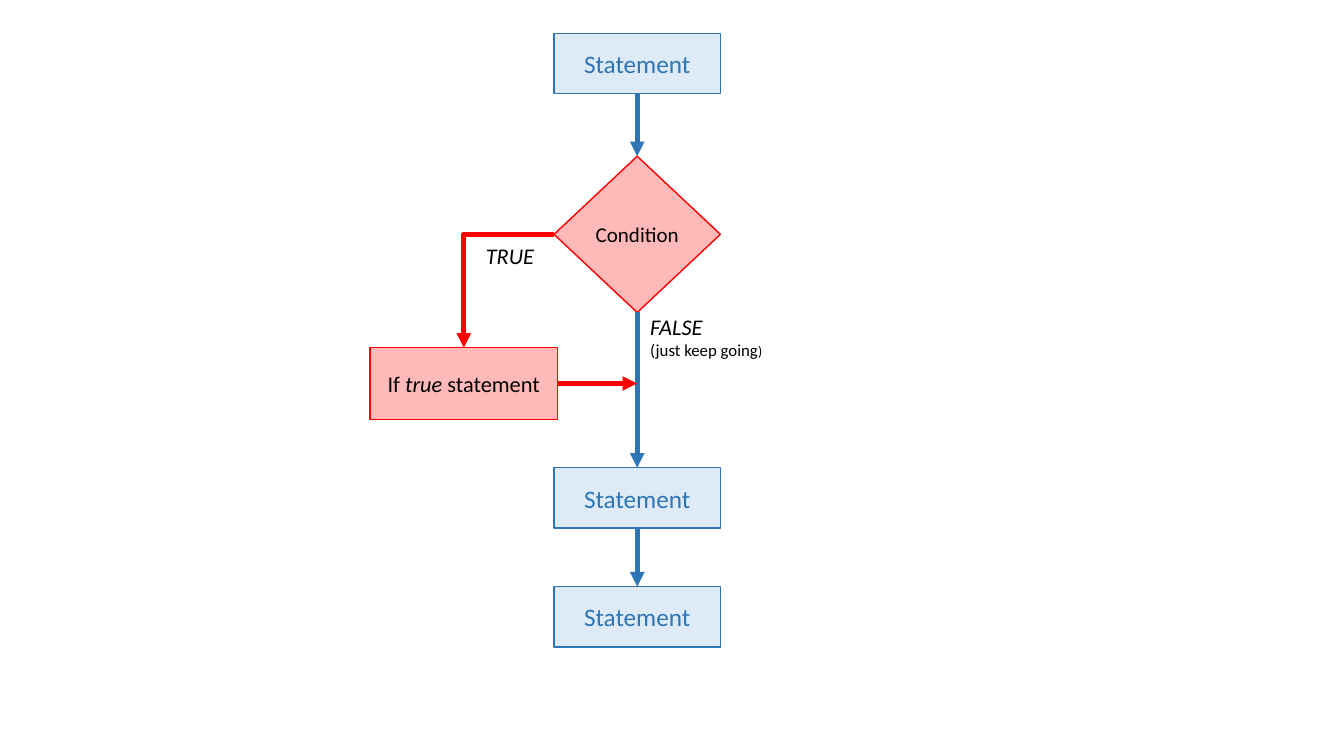
"""Draw a flowchart of an if statement."""
from lxml.etree import SubElement
from pptx import Presentation
from pptx.dml.color import RGBColor
from pptx.enum.shapes import MSO_CONNECTOR as Link, MSO_SHAPE as Form
from pptx.enum.text import MSO_ANCHOR as Anchor, PP_ALIGN as Align
from pptx.oxml.ns import qn
from pptx.util import Inches, Pt

BLUE, PALE = RGBColor(0x2E, 0x75, 0xB6), RGBColor(0xDE, 0xEB, 0xF7)
RED, PINK = RGBColor(0xFF, 0, 0), RGBColor(0xFF, 0xB9, 0xB9)
BLACK = RGBColor(0, 0, 0)
MID, SIDE = 6.32, 4.6
TOP, LEFT, BOTTOM, RIGHT = range(4)

STEP = dict(form=Form.RECTANGLE, size=(1.65, 0.6), fill=PALE, line=BLUE, ink=BLUE)
TEST = dict(form=Form.DIAMOND, size=(1.65, 1.55), fill=PINK, line=RED, ink=BLACK, pad=0)
THEN = dict(form=Form.RECTANGLE, size=(1.86, 0.71), fill=PINK, line=RED, ink=BLACK)

NODES = {
    "first": (STEP, MID, 0.33, [[("Statement", 18, False)]]),
    "test": (TEST, MID, 1.55, [[("Condition", 15, False)]]),
    "then": (THEN, SIDE, 3.45, [[("If ", 16, False), ("true", 16, True),
                                 (" statement", 16, False)]]),
    "next": (STEP, MID, 4.64, [[("Statement", 18, False)]]),
    "last": (STEP, MID, 5.82, [[("Statement", 18, False)]]),
}
LABELS = [
    ((6.35, 2.98, 1.86, 0.71), [[("FALSE", 16, True)],
                                [("(just keep going", 12, False), (")", 10, False)]]),
    ((4.72, 2.18, 0.76, 0.71), [[("TRUE", 16, True)]]),
]
LINKS = [
    ("first", BOTTOM, "test", TOP, BLUE),
    ("test", LEFT, "then", TOP, RED),
    ("test", BOTTOM, "next", TOP, BLUE),
    ("then", RIGHT, None, None, RED),
    ("next", BOTTOM, "last", TOP, BLUE),
]


def write(shape, lines, ink, align, pad=None):
    frame = shape.text_frame
    frame.word_wrap, frame.vertical_anchor = True, Anchor.MIDDLE
    if pad is not None:
        for edge in ("left", "right", "top", "bottom"):
            setattr(frame, "margin_" + edge, Inches(pad))
    for i, runs in enumerate(lines):
        para = frame.add_paragraph() if i else frame.paragraphs[0]
        para.alignment = align
        for text, size, slant in runs:
            run = para.add_run()
            run.text = text
            run.font.color.rgb = ink
            for key, val in dict(name="Calibri", size=Pt(size), italic=slant).items():
                setattr(run.font, key, val)


def node(look, mid, top, lines):
    wide, high = look["size"]
    box = (mid - wide / 2, top, wide, high)
    shape = slide.shapes.add_shape(look["form"], *map(Inches, box))
    shape.shadow.inherit = False
    shape.fill.solid()
    shape.fill.fore_color.rgb = look["fill"]
    shape.line.color.rgb, shape.line.width = look["line"], Pt(1)
    write(shape, lines, look["ink"], Align.CENTER, look.get("pad"))
    return shape


def link(start, out, end, into, hue):
    bent = out == LEFT
    kind = Link.ELBOW if bent else Link.STRAIGHT
    level = shapes[start].top + shapes[start].height // 2
    line = slide.shapes.add_connector(kind, 0, 0, Inches(MID), level)
    line.begin_connect(shapes[start], out)
    if end:
        line.end_connect(shapes[end], into)
    props = line._element.spPr
    if bent:
        props.find(qn("a:prstGeom")).set("prst", "bentConnector2")
    line.line.color.rgb, line.line.width = hue, Pt(3.5)
    SubElement(props.find(qn("a:ln")), qn("a:tailEnd"), type="triangle")
    SubElement(props, qn("a:effectLst"))


deck = Presentation()
deck.slide_width, deck.slide_height = Inches(13.33), Inches(7.5)
slide = deck.slides.add_slide(deck.slide_layouts[6])
shapes = {name: node(*spec) for name, spec in NODES.items()}
for ends in LINKS:
    link(*ends)
for box, lines in LABELS:
    write(slide.shapes.add_textbox(*map(Inches, box)), lines, BLACK, Align.LEFT)
deck.save("out.pptx")
